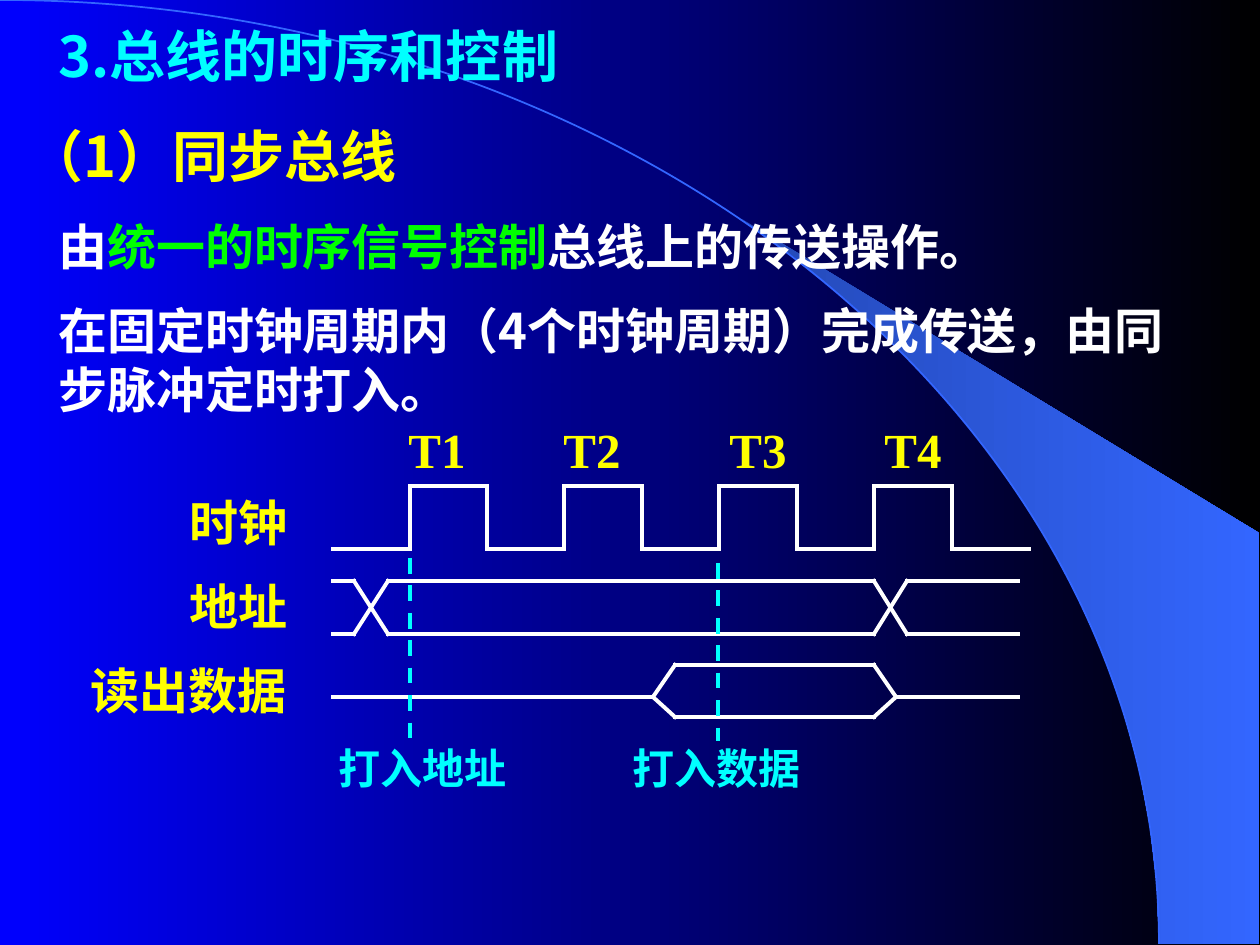
"""Build the synchronous bus timing slide."""
import math

import pptx
import pptx.dml.color
import pptx.enum.dml
import pptx.enum.shapes
import pptx.enum.text
import pptx.oxml.ns
import pptx.util
from lxml import etree

RGBColor = pptx.dml.color.RGBColor
BLUE = RGBColor(0x00, 0x00, 0xFF)
BLACK = RGBColor(0x00, 0x00, 0x00)
BEAM_DARK = RGBColor(0x24, 0x49, 0xB6)
BEAM_LIGHT = RGBColor(0x33, 0x66, 0xFF)
CYAN = RGBColor(0x00, 0xFF, 0xFF)
YELLOW = RGBColor(0xFF, 0xFF, 0x00)
GREEN = RGBColor(0x00, 0xFF, 0x00)
WHITE = RGBColor(0xFF, 0xFF, 0xFF)
SANS = "Noto Sans CJK SC"
SERIF = "Times New Roman"
PX = 914400 / 126
qn = pptx.oxml.ns.qn

presentation = pptx.Presentation()
presentation.slide_width = round(1260 * PX)
presentation.slide_height = round(945 * PX)
slide = presentation.slides.add_slide(presentation.slide_layouts[5])
shapes = slide.shapes


def write_text(text, box, size, color, font=SANS, centered=False, shape=None, highlight=None):
    left, top, width, height = (round(value * PX) for value in box)
    if shape is None:
        shape = shapes.add_textbox(left, top, width, height)
    shape.left, shape.top, shape.width, shape.height = left, top, width, height
    frame = shape.text_frame
    frame.word_wrap = True
    frame.auto_size = pptx.enum.text.MSO_AUTO_SIZE.NONE
    frame.vertical_anchor = pptx.enum.text.MSO_ANCHOR.TOP
    paragraph = frame.paragraphs[0]
    alignment = pptx.enum.text.PP_ALIGN
    paragraph.alignment = alignment.CENTER if centered else alignment.LEFT
    if highlight:
        before, after = text.split(highlight)
        parts = [(before, color), (highlight, GREEN), (after, color)]
    else:
        parts = [(text, color)]
    for part, part_color in parts:
        run = paragraph.add_run()
        run.text = part
        run.font.size = pptx.util.Pt(size)
        run.font.bold = True
        run.font.name = font
        run.font.color.rgb = part_color
        latin = run.font._element.find(qn("a:latin"))
        latin.addnext(etree.Element(qn("a:ea"), typeface=SANS))


def draw_path(points, color=WHITE, dash=None):
    for start, end in zip(points, points[1:]):
        ends = [round(value * PX) for value in (*start, *end)]
        connector = shapes.add_connector(pptx.enum.shapes.MSO_CONNECTOR.STRAIGHT, *ends)
        connector.line.color.rgb = color
        connector.line.width = pptx.util.Pt(2.25)
        properties = connector._element.spPr
        if dash:
            connector.line.dash_style = dash
        else:
            properties.find(qn("a:ln")).set("cap", "sq")
        etree.SubElement(properties, qn("a:effectLst"))


background = slide.background.fill
background.gradient()
background.gradient_angle = 0
for stop, color in zip(background.gradient_stops, (BLUE, BLACK)):
    stop.color.rgb = color

ARC_WIDTH, ARC_HEIGHT, STEPS = 1159, 944, 14
beam_start = math.asin(742 / ARC_WIDTH)
angles = [beam_start + (math.pi / 2 - beam_start) * step / STEPS for step in range(STEPS + 1)]
beam_edge = [(round(ARC_WIDTH * math.sin(angle)), round(ARC_HEIGHT * (1 - math.cos(angle))))
             for angle in angles]
builder = shapes.build_freeform(*beam_edge[0], scale=PX)
builder.add_line_segments(beam_edge[1:] + [(1259, 944), (1259, 533)], close=True)
beam = builder.convert_to_shape()
beam.shadow.inherit = False
beam.line.fill.background()
beam.fill.gradient()
beam.fill.gradient_angle = 0
for stop, color in zip(beam.fill.gradient_stops, (BEAM_DARK, BEAM_LIGHT)):
    stop.color.rgb = color

builder = shapes.build_freeform(0, 0, scale=PX)
builder.add_line_segments([(ARC_WIDTH, ARC_HEIGHT)], close=False)
horizon = builder.convert_to_shape()
horizon.shadow.inherit = False
horizon.fill.background()
horizon.line.color.rgb = BEAM_LIGHT
horizon.line.width = pptx.util.Pt(1)
segment = next(horizon._element.iter(qn("a:lnTo")))
outline = segment.getparent()
outline.remove(segment)
curve = etree.SubElement(outline, qn("a:cubicBezTo"))
path_width, path_height = int(outline.get("w")), int(outline.get("h"))
for across, down in ((0.55, 0), (1, 0.45), (1, 1)):
    etree.SubElement(curve, qn("a:pt"), x=str(round(path_width * across)),
                     y=str(round(path_height * down)))

title = shapes.title
title._element.getparent().append(title._element)
write_text("3.总线的时序和控制", (46, 15, 711, 79), 32, CYAN, shape=title)
write_text("（1）同步总线", (15, 115, 599, 79), 32, YELLOW)
write_text("由统一的时序信号控制总线上的传送操作。", (46, 210, 1037, 72), 28, WHITE,
           highlight="统一的时序信号控制")
write_text("在固定时钟周期内（4个时钟周期）完成传送，由同步脉冲定时打入。",
           (46, 294, 1176, 131), 28, WHITE)

low, high = 549, 486
clock = [(333, low)]
for edge in range(8):
    x = round(409.7 + 77.4 * edge)
    levels = (low, high) if edge % 2 == 0 else (high, low)
    clock += [(x, level) for level in levels]
clock.append((1029, low))
draw_path(clock)

for first, second in ((581, 634), (634, 581)):
    draw_path([(333, first), (354, first), (388, second),
               (874, second), (907, first), (1018, first)])

draw_path([(333, 697), (653, 697), (675, 665), (874, 665), (896, 697), (1018, 697)])
draw_path([(653, 697), (675, 717), (874, 717), (896, 697)])

for label, left in (("T1", 365), ("T2", 520), ("T3", 686), ("T4", 841)):
    write_text(label, (left, 413, 144, 72), 28, YELLOW, font=SERIF, centered=True)
for label, left, top, width in (("时钟", 177, 486, 199), ("地址", 177, 570, 199),
                                ("读出数据", 78, 654, 276)):
    write_text(label, (left, top, width, 72), 28, YELLOW, font=SERIF)

for x, top in ((410, 558), (718, 563)):
    draw_path([(x, top), (x, 741)], color=CYAN, dash=pptx.enum.dml.MSO_LINE.DASH)
write_text("打入地址", (326, 736, 262, 63), 24, CYAN, font=SERIF)
write_text("打入数据", (586, 736, 262, 63), 24, CYAN, font=SERIF, centered=True)

presentation.save("out.pptx")
